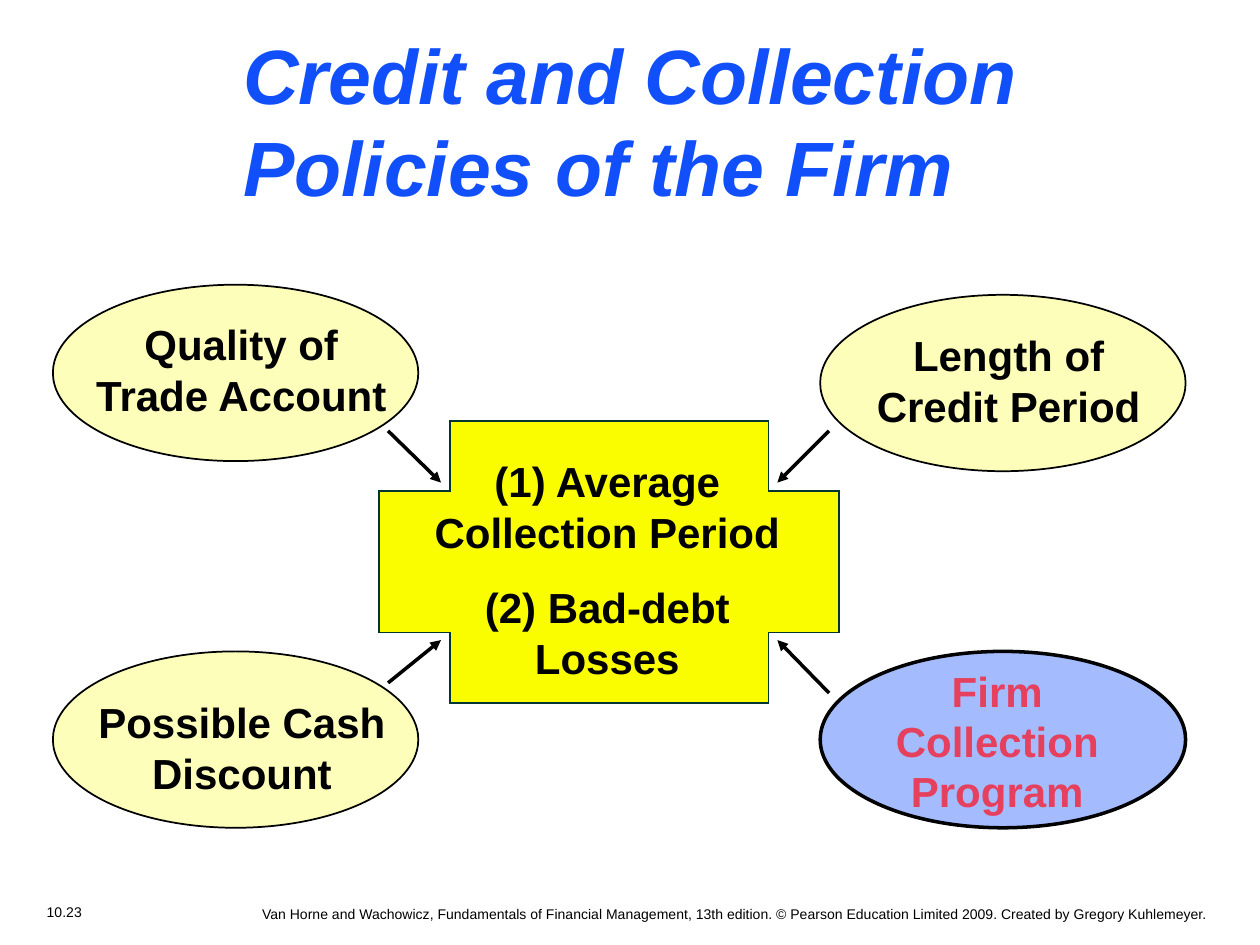
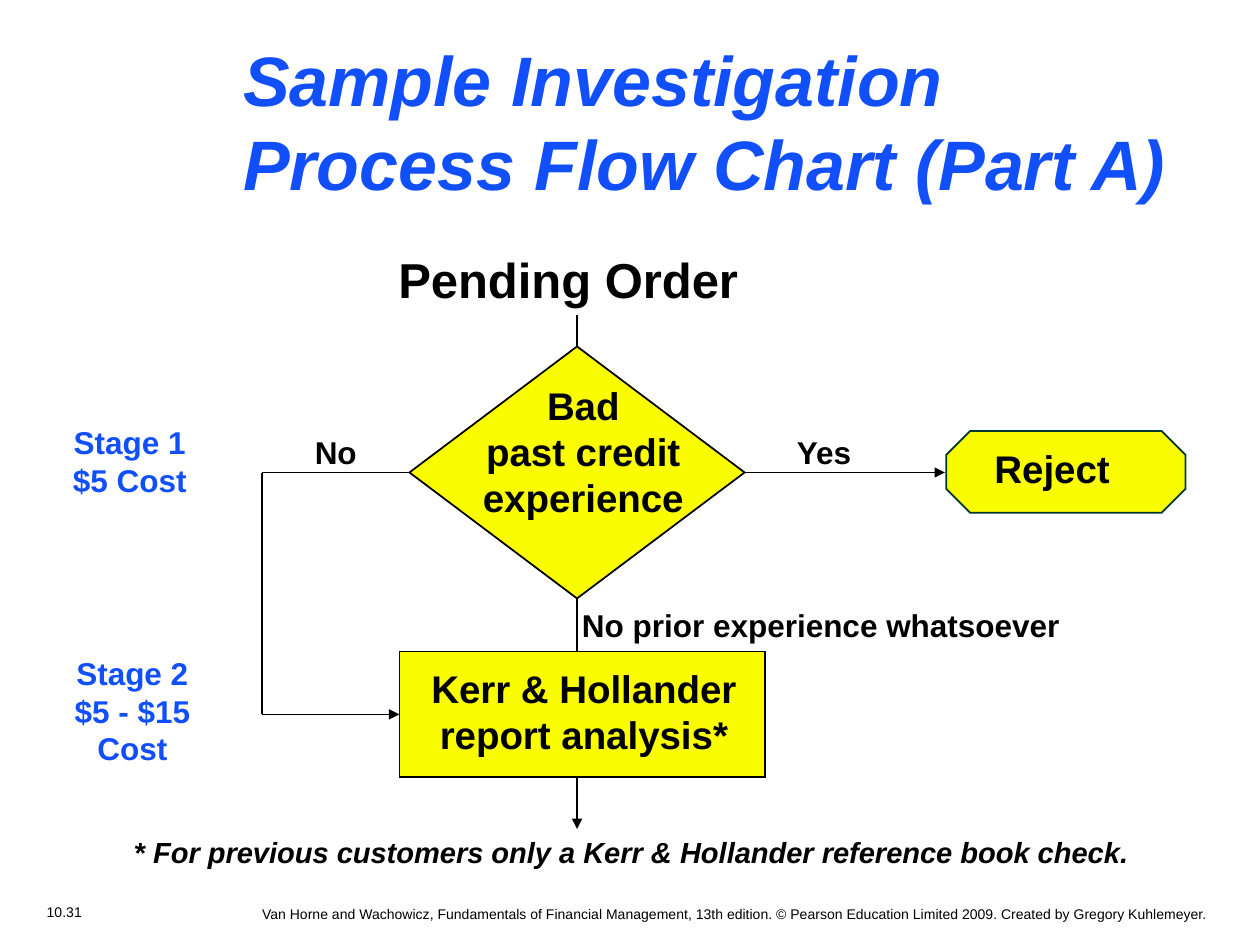
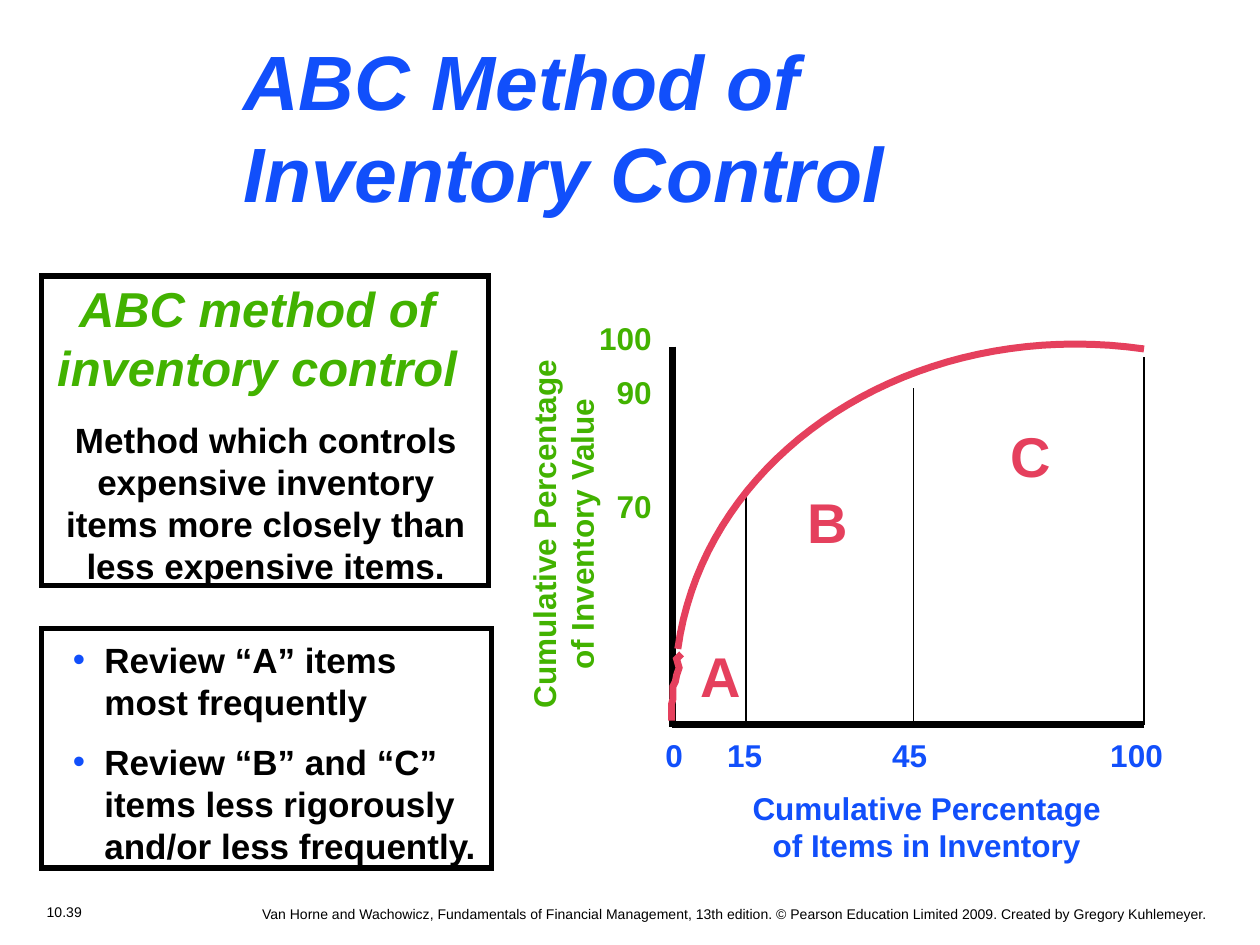
from lxml import etree
from pptx import Presentation
from pptx.dml.color import RGBColor
from pptx.enum.shapes import MSO_CONNECTOR, MSO_SHAPE
from pptx.enum.text import MSO_ANCHOR, MSO_AUTO_SIZE, PP_ALIGN
from pptx.oxml.ns import qn
from pptx.util import Inches, Pt

LEFT, CENTER, RIGHT = PP_ALIGN.LEFT, PP_ALIGN.CENTER, PP_ALIGN.RIGHT
OVAL, PLUS, RECT = MSO_SHAPE.OVAL, MSO_SHAPE.CROSS, MSO_SHAPE.RECTANGLE
DIAMOND, OCTAGON = MSO_SHAPE.DIAMOND, MSO_SHAPE.OCTAGON
FIXED, GROW = MSO_AUTO_SIZE.NONE, MSO_AUTO_SIZE.SHAPE_TO_FIT_TEXT
MIDDLE, STRAIGHT = MSO_ANCHOR.MIDDLE, MSO_CONNECTOR.STRAIGHT
TOP, WEST, BOTTOM, EAST = range(4)

FONT = "Arial"
COLORS = {
    "black": "000000", "blue": "114FFB", "red": "E5405D", "green": "42B200",
    "yellow": "FAFD00", "cream": "FCFEB9", "sky": "A4BCFE", "teal": "003530",
}
FOOTER = ("Van Horne and Wachowicz, Fundamentals of Financial Management, 13th edition. "
          "© Pearson Education Limited 2009. Created by Gregory Kuhlemeyer.")

OVAL_W, OVAL_H = 2.9, 1.4
POLICIES = [
    ("Quality of\nTrade Account", (0.42, 2.26), (0.65, 2.48, 2.53, 0.9), "cream", "black", 1),
    ("Length of\nCredit Period", (6.51, 2.34), (6.86, 2.57, 2.29, 0.9), "cream", "black", 1),
    ("Possible Cash\nDiscount", (0.42, 5.17), (0.68, 5.48, 2.48, 0.9), "cream", "black", 1),
    ("Firm\nCollection\nProgram", (6.51, 5.17), (7.01, 5.23, 1.81, 1.3), "sky", "red", 2),
]
POLICY_ARROWS = [
    ((3.08, 3.42), (3.5, 3.83)), ((6.58, 3.42), (6.17, 3.83)),
    ((6.58, 5.5), (6.17, 5.08)), ((3.08, 5.42), (3.5, 5.08)),
]
RESULTS = [
    ("(1) Average\nCollection Period", (3.35, 3.57, 2.94, 0.9)),
    ("(2) Bad-debt\nLosses", (3.7, 4.57, 2.24, 0.9)),
]

FLOW_LABELS = [
    ("Pending Order", (3.06, 1.93, 2.9, 0.56), 28, "black"),
    ("Bad\npast credit\nexperience", (3.68, 2.98, 1.9, 1.2), 22, "black"),
    ("Kerr & Hollander\nreport analysis*", (3.18, 5.23, 2.91, 0.83), 22, "black"),
    ("Reject", (7.74, 3.48, 1.22, 0.46), 22, "black"),
    ("Yes", (6.22, 3.39, 0.64, 0.4), 18, "black"),
    ("No", (2.4, 3.39, 0.53, 0.4), 18, "black"),
    ("No prior experience whatsoever", (4.52, 4.76, 3.99, 0.4), 18, "black"),
    ("Stage 1\n$5 Cost", (0.48, 3.31, 1.1, 0.7), 18, "blue"),
    ("Stage 2\n$5 - $15\nCost", (0.49, 5.14, 1.12, 1), 18, "blue"),
]
FOOTNOTE = "* For previous customers only a Kerr & Hollander reference book check."

METHOD = "Method which controls expensive inventory items more closely than less expensive items."
REVIEWS = [
    "Review “A” items most frequently",
    "Review “B” and “C” items less rigorously and/or less frequently.",
]
BASE_Y = 5.75
AXES = [((5.34, 2.75), (5.34, 5.77)), ((9.08, BASE_Y), (5.33, BASE_Y))]
CLASS_LIMITS = [(5.92, 3.92), (7.25, 3.08), (9.08, 2.83)]
X_LABELS = [("0", 5.35), ("15", 5.91), ("45", 7.22), ("100", 9.02)]
Y_LABELS = [("100", 2.48), ("90", 2.91), ("70", 3.82)]
CLASSES = [("A", 5.46, 5.04), ("B", 6.31, 3.82), ("C", 7.92, 3.3)]
CURVE = [(5.38, 5.15), (5.6, 3.58), (7.26, 2.51), (9.08, 2.77)]
CURVE_STEPS = 40
SQUIGGLE = [
    (5.41, 5.19), (5.37, 5.23), (5.39, 5.3), (5.37, 5.36), (5.36, 5.41), (5.34, 5.45),
    (5.34, 5.55), (5.33, 5.59), (5.33, 5.72),
]


def rgb(name):
    return RGBColor.from_string(COLORS[name])


def inches(values):
    return [Inches(v) for v in values]


def format_paragraph(p, size=24, color="black", bold=True, italic=False, align=CENTER,
                     before=0, after=0, spacing=None, bullet=False):
    if bullet:
        pPr = p._p.get_or_add_pPr()
        pPr.set("marL", str(Inches(0.44)))
        pPr.set("indent", str(-Inches(0.25)))
        tint = etree.SubElement(pPr, qn("a:buClr"))
        etree.SubElement(tint, qn("a:srgbClr")).set("val", COLORS["blue"])
        etree.SubElement(pPr, qn("a:buFont")).set("typeface", FONT)
        etree.SubElement(pPr, qn("a:buChar")).set("char", "•")
    p.alignment = align
    p.space_before, p.space_after = Pt(before), Pt(after)
    if spacing:
        p.line_spacing = spacing
    for r in p.runs:
        r.font.name, r.font.size = FONT, Pt(size)
        r.font.bold, r.font.italic = bold, italic
        r.font.color.rgb = rgb(color)


def add_text(s, box, text, wrap=False, rotation=0, **fmt):
    sp = s.shapes.add_textbox(*inches(box))
    sp.rotation = rotation
    tf = sp.text_frame
    tf.word_wrap = wrap
    tf.auto_size = FIXED if wrap else GROW
    tf.text = text
    for p in tf.paragraphs:
        format_paragraph(p, **fmt)
    return tf


def add_outline(sp, fill, line, width):
    sp.shadow.inherit = False
    if fill:
        sp.fill.solid()
        sp.fill.fore_color.rgb = rgb(fill)
    else:
        sp.fill.background()
    sp.line.color.rgb = rgb(line)
    sp.line.width = Pt(width)
    etree.SubElement(sp.line._get_or_add_ln(), qn("a:miter")).set("lim", "800000")


def add_shape(s, kind, box, fill=None, line="black", width=1, adjust=None):
    sp = s.shapes.add_shape(kind, *inches(box))
    if adjust:
        sp.adjustments[0] = adjust
    add_outline(sp, fill, line, width)
    return sp


def add_line(s, start, end, width=1, arrow=False, begin_at=None, end_at=None):
    c = s.shapes.add_connector(STRAIGHT, *inches(start + end))
    c.line.color.rgb = rgb("black")
    c.line.width = Pt(width)
    if arrow:
        etree.SubElement(c.line._get_or_add_ln(), qn("a:tailEnd")).set("type", "triangle")
    etree.SubElement(c._element.spPr, qn("a:effectLst"))
    if begin_at:
        c.begin_connect(*begin_at)
    if end_at:
        c.end_connect(*end_at)


def add_curve(s, points):
    start, *rest = [inches(pt) for pt in points]
    builder = s.shapes.build_freeform(*start)
    builder.add_line_segments(rest, close=False)
    add_outline(builder.convert_to_shape(), None, "red", 4)


def bezier(p0, p1, p2, p3, steps):
    for i in range(steps + 1):
        t = i / steps
        u = 1 - t
        yield tuple(u**3 * a + 3 * u * u * t * b + 3 * u * t * t * c + t**3 * d
                    for a, b, c, d in zip(p0, p1, p2, p3))


def new_slide(prs, number, title, box, size=44):
    s = prs.slides.add_slide(prs.slide_layouts[5])
    sp = s.shapes.title
    sp.left, sp.top, sp.width, sp.height = inches(box)
    tf = sp.text_frame
    tf.text = title
    tf.word_wrap, tf.auto_size = True, FIXED
    tf.vertical_anchor = MIDDLE
    format_paragraph(tf.paragraphs[0], size=size, color="blue", italic=True, align=LEFT)
    add_text(s, (0.07, 7.12, 0.88, 0.24), number, size=8, bold=False)
    add_text(s, (0.24, 7.14, 9.45, 0.21), FOOTER, wrap=True, size=8, bold=False, align=RIGHT)
    return s


def build_policies(prs):
    s = new_slide(prs, "10.23", "Credit and Collection Policies of the Firm",
                  (1.83, 0.17, 7.42, 1.56))
    add_shape(s, PLUS, (3.01, 3.34, 3.65, 2.24), "yellow", "teal", adjust=0.25)
    for text, box in RESULTS:
        add_text(s, box, text)
    for text, corner, box, fill, color, width in POLICIES:
        add_shape(s, OVAL, corner + (OVAL_W, OVAL_H), fill, width=width)
        add_text(s, box, text, color=color)
    for start, end in POLICY_ARROWS:
        add_line(s, start, end, width=2, arrow=True)


def build_flow(prs):
    s = new_slide(prs, "10.31", "Sample Investigation Process Flow Chart (Part A)",
                  (1.83, 0.24, 8, 1.43), size=40)
    decision = add_shape(s, DIAMOND, (3.25, 2.75, 2.66, 2), "yellow")
    add_shape(s, OCTAGON, (7.51, 3.42, 1.9, 0.65), "yellow", "teal", adjust=0.293)
    report = add_shape(s, RECT, (3.17, 5.17, 2.9, 1), "yellow")
    mid_x, side_x, mid_y, report_y = 4.58, 2.08, 3.75, 5.67
    add_line(s, (mid_x, 2.75), (mid_x, 2.5), begin_at=(decision, TOP))
    add_line(s, (5.91, mid_y), (7.5, mid_y), arrow=True, begin_at=(decision, EAST))
    add_line(s, (3.25, mid_y), (side_x, mid_y), begin_at=(decision, WEST))
    add_line(s, (side_x, mid_y), (side_x, report_y))
    add_line(s, (side_x, report_y), (3.17, report_y), arrow=True, end_at=(report, WEST))
    add_line(s, (mid_x, 4.75), (mid_x, 5.17), begin_at=(decision, BOTTOM))
    add_line(s, (mid_x, 6.17), (mid_x, 6.58), arrow=True)
    for text, box, size, color in FLOW_LABELS:
        add_text(s, box, text, size=size, color=color)
    add_text(s, (0.42, 6.63, 9.17, 0.33), FOOTNOTE, wrap=True, size=16.6, italic=True,
             spacing=0.8)


def build_abc(prs):
    s = new_slide(prs, "10.39", "ABC Method of Inventory Control", (1.83, 0.22, 7.5, 1.56))
    add_shape(s, RECT, (0.33, 2.19, 3.55, 2.46), width=3)
    add_shape(s, RECT, (0.33, 4.99, 3.57, 1.9), width=3)
    add_text(s, (0.33, 2.16, 3.42, 1.03), "ABC method of inventory control", wrap=True,
             size=28, color="green", italic=True)
    tf = add_text(s, (0.29, 3.27, 3.64, 3.67), METHOD, wrap=True, size=20, after=5)
    for review, before in zip(REVIEWS, (25, 5)):
        p = tf.add_paragraph()
        p.text = review
        format_paragraph(p, size=20, align=LEFT, before=before, after=5, bullet=True)

    for start, end in AXES:
        add_line(s, start, end, width=4)
    for x, y in CLASS_LIMITS:
        add_line(s, (x, BASE_Y), (x, y))
    add_curve(s, list(bezier(*CURVE, CURVE_STEPS)))
    add_curve(s, SQUIGGLE)
    label_w, label_h = 0.62, 0.4
    for text, x in X_LABELS:
        add_text(s, (x - label_w / 2, 5.79, label_w, label_h), text, size=18, color="blue")
    for text, y in Y_LABELS:
        add_text(s, (4.65, y, label_w, label_h), text, wrap=True, size=18, color="green",
                 align=RIGHT)
    add_text(s, (5.84, 6.21, 3.03, 0.7), "Cumulative Percentage\nof Items in Inventory",
             size=18, color="blue")
    add_text(s, (2.95, 3.89, 3.03, 0.7), "Cumulative Percentage\nof Inventory Value",
             rotation=270, size=18, color="green")
    for text, x, y in CLASSES:
        add_text(s, (x, y, 0.52, 0.63), text, size=32, color="red")


def main():
    prs = Presentation()
    prs.slide_width, prs.slide_height = Inches(10), Inches(7.5)
    build_policies(prs)
    build_flow(prs)
    build_abc(prs)
    prs.save("out.pptx")


if __name__ == "__main__":
    main()
